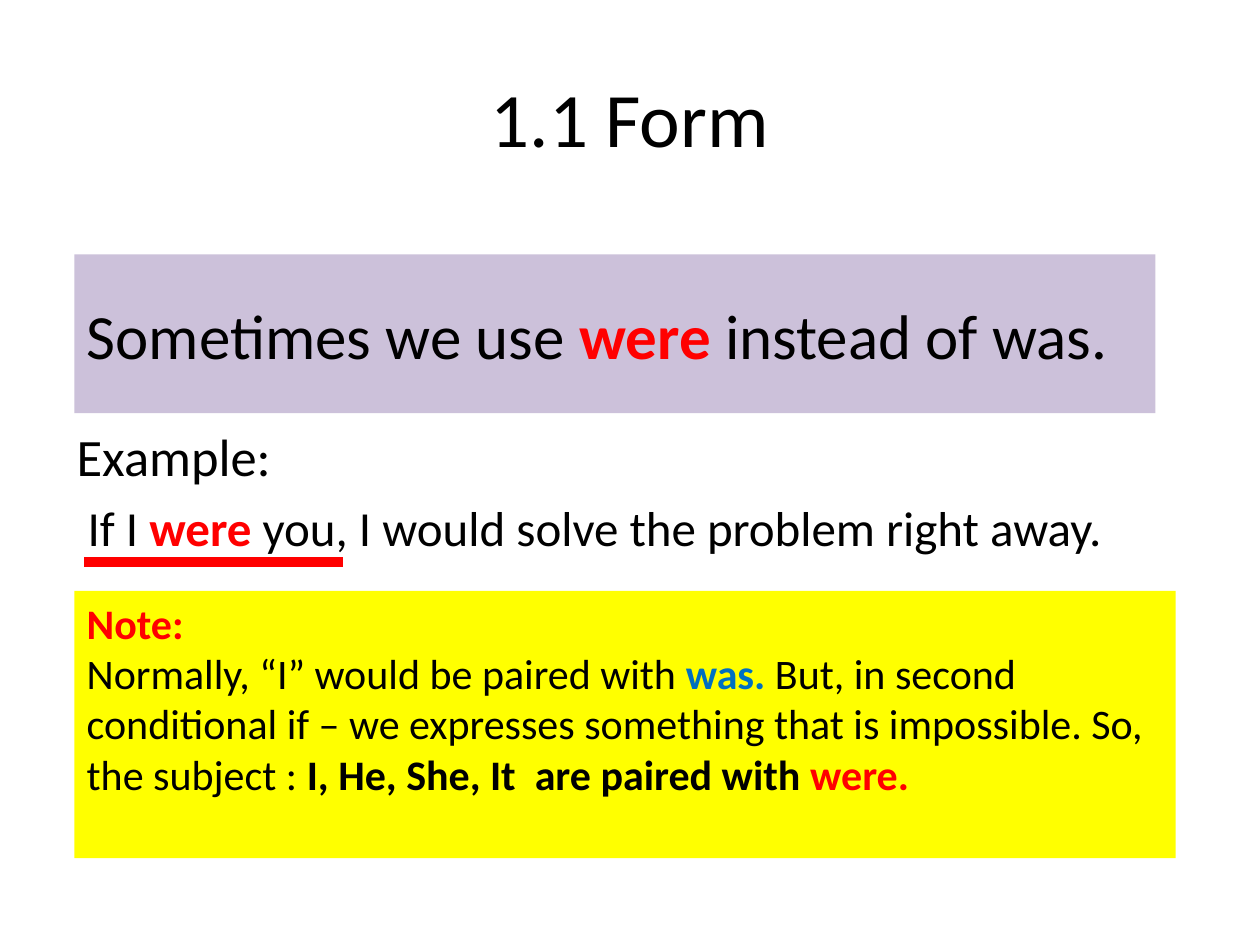
import dataclasses

import pptx
import pptx.dml.color
import pptx.enum.shapes
import pptx.enum.text
import pptx.oxml
import pptx.oxml.ns
import pptx.util

Inches = pptx.util.Inches
Pt = pptx.util.Pt
Align = pptx.enum.text.PP_ALIGN
Anchor = pptx.enum.text.MSO_ANCHOR


@dataclasses.dataclass(frozen=True)
class Theme:
    font: str = "Calibri"
    black: str = "000000"
    red: str = "FF0000"
    blue: str = "0070C0"
    lilac: str = "CCC1DA"
    yellow: str = "FFFF00"
    title: int = 44
    rule: int = 36
    label: int = 30
    sample: int = 28
    note: int = 24
    stroke: int = 6


THEME = Theme()


def color(code):
    return pptx.dml.color.RGBColor.from_string(code)


def plain(text):
    return text, THEME.black, False


def strong(text, code=THEME.red):
    return text, code, True


def write(para, size, parts, align=Align.LEFT, before=0):
    para.alignment = align
    para.space_before = Pt(before)
    for text, code, bold in parts:
        run = para.add_run()
        run.text = text
        run.font.name = THEME.font
        run.font.size = Pt(size)
        run.font.bold = bold
        run.font.color.rgb = color(code)


def add_text(slide, left, top, width, height, anchor=Anchor.TOP):
    box = slide.shapes.add_textbox(
        Inches(left), Inches(top), Inches(width), Inches(height))
    frame = box.text_frame
    frame.word_wrap = True
    frame.vertical_anchor = anchor
    return frame


def add_panel(slide, left, top, width, height, fill, anchor=Anchor.TOP):
    panel = slide.shapes.add_shape(
        pptx.enum.shapes.MSO_SHAPE.RECTANGLE,
        Inches(left), Inches(top), Inches(width), Inches(height))
    panel.shadow.inherit = False
    panel.fill.solid()
    panel.fill.fore_color.rgb = color(fill)
    panel.line.fill.background()
    frame = panel.text_frame
    frame.word_wrap = True
    frame.vertical_anchor = anchor
    return frame


def add_line(slide, left, right, top):
    line = slide.shapes.add_connector(
        pptx.enum.shapes.MSO_CONNECTOR.STRAIGHT,
        Inches(left), Inches(top), Inches(right), Inches(top))
    line.line.color.rgb = color(THEME.red)
    line.line.width = Pt(THEME.stroke)
    props = line._element.spPr
    props.append(pptx.oxml.parse_xml(
        "<a:effectLst %s/>" % pptx.oxml.ns.nsdecls("a")))


def main():
    deck = pptx.Presentation()
    deck.slide_width = Inches(10)
    deck.slide_height = Inches(7.5)
    slide = deck.slides.add_slide(deck.slide_layouts[6])

    body = add_text(slide, 0.51, 3.32, 9, 2.4)
    write(body.paragraphs[0], THEME.label, [plain("Example:")])
    write(body.add_paragraph(), THEME.sample, [
        plain(" If I "),
        strong("were"),
        plain(" you, I would solve the problem right away."),
    ], before=0.2 * THEME.sample)

    title = add_text(slide, 0.5, 0.3, 9, 1.25, Anchor.MIDDLE)
    write(title.paragraphs[0], THEME.title, [plain("1.1 Form")], Align.CENTER)

    rule = add_panel(slide, 0.59, 2.02, 8.58, 1.26, THEME.lilac, Anchor.MIDDLE)
    write(rule.paragraphs[0], THEME.rule, [
        plain("Sometimes we use "),
        strong("were"),
        plain(" instead of was."),
    ], Align.JUSTIFY)

    add_line(slide, 0.67, 2.72, 4.46)

    note = add_panel(slide, 0.59, 4.69, 8.74, 2.12, THEME.yellow)
    write(note.paragraphs[0], THEME.note, [strong("Note:")])
    write(note.add_paragraph(), THEME.note, [
        plain("Normally, “I” would be paired with "),
        strong("was. ", THEME.blue),
        plain("But, in second conditional if – we expresses something "
              "that is impossible. So, the subject : "),
        strong("I, He, She, It  are paired with ", THEME.black),
        strong("were."),
    ])

    deck.save("out.pptx")


if __name__ == "__main__":
    main()
